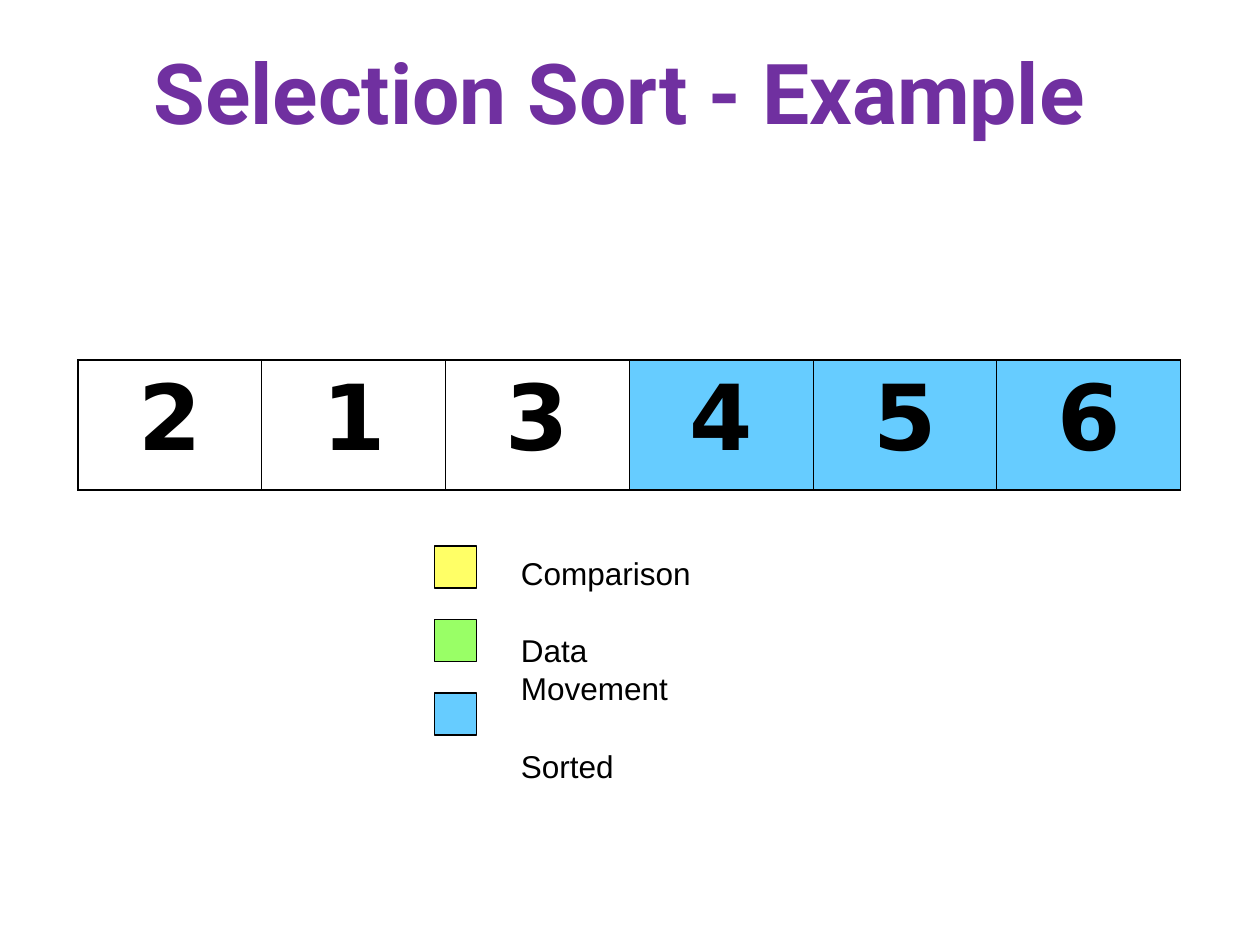
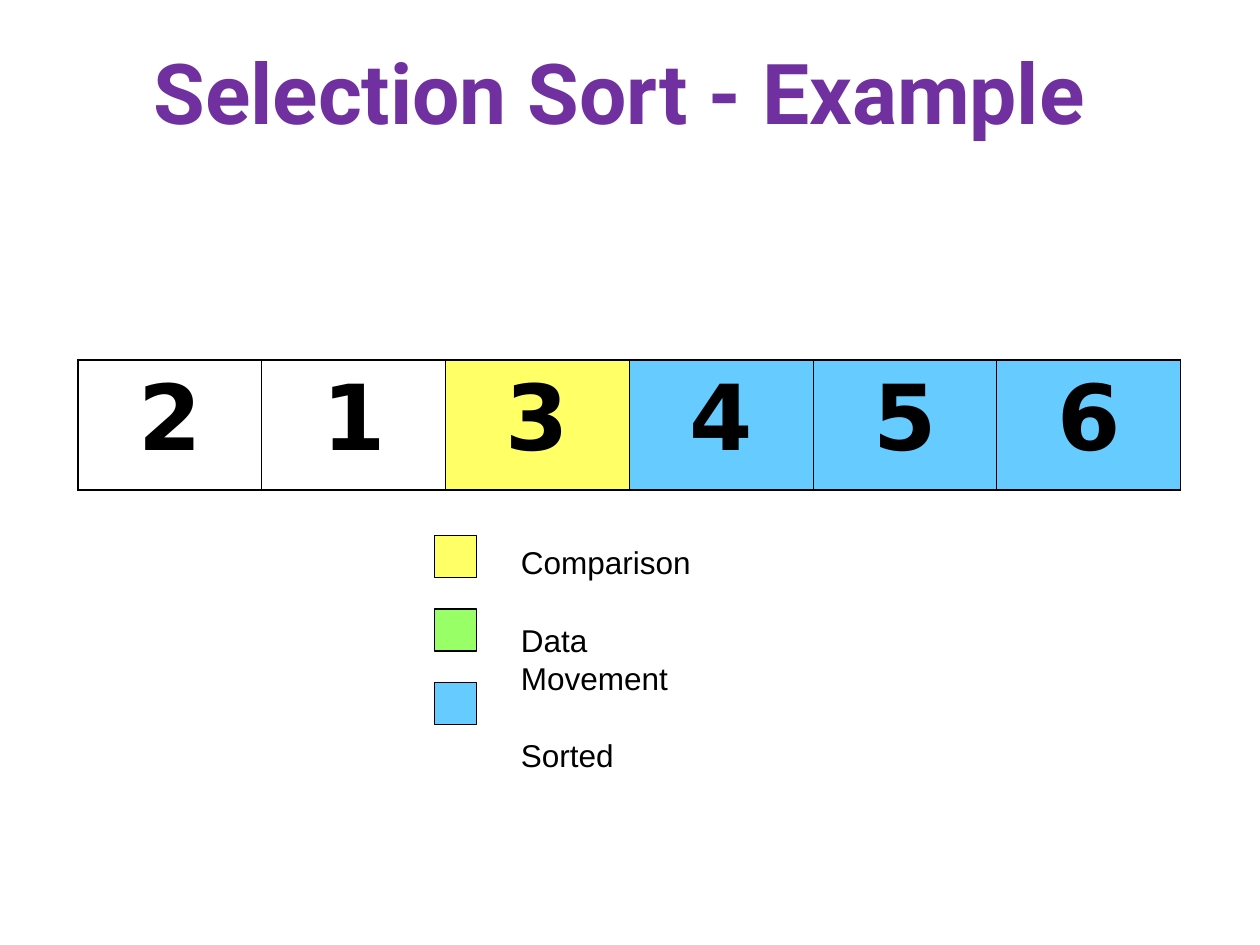
"""Build two steps of a selection sort example."""
from lxml import etree
from pptx import Presentation
from pptx.dml.color import RGBColor
from pptx.enum.shapes import MSO_SHAPE
from pptx.enum.text import MSO_ANCHOR, MSO_AUTO_SIZE, PP_ALIGN
from pptx.oxml.ns import qn
from pptx.util import Pt

RECTANGLE = MSO_SHAPE.RECTANGLE
MIDDLE = MSO_ANCHOR.MIDDLE
NO_FIT = MSO_AUTO_SIZE.NONE
FIT_SHAPE = MSO_AUTO_SIZE.SHAPE_TO_FIT_TEXT
LEFT, CENTER = PP_ALIGN.LEFT, PP_ALIGN.CENTER

BLACK = RGBColor(0x00, 0x00, 0x00)
PURPLE = RGBColor(0x70, 0x30, 0xA0)
COMPARISON = RGBColor(0xFF, 0xFF, 0x66)
MOVEMENT = RGBColor(0x99, 0xFF, 0x66)
SORTED = RGBColor(0x66, 0xCC, 0xFF)

LEGEND = [("Comparison", COMPARISON), ("Data Movement", MOVEMENT), ("Sorted", SORTED)]
NUMBERS = [2, 1, 3, 4, 5, 6]
STEPS = [
    ({4: SORTED, 5: SORTED, 6: SORTED}, 312),
    ({3: COMPARISON, 4: SORTED, 5: SORTED, 6: SORTED}, 306),
]


def write(frame, text, *, font, size, color=BLACK, bold=False, align=LEFT, gap=0):
    """Write each line of text as a formatted paragraph."""
    for index, line in enumerate(text.split("\n")):
        paragraph = frame.paragraphs[0] if index == 0 else frame.add_paragraph()
        paragraph.alignment = align
        if index:
            paragraph.space_before = Pt(gap)
        run = paragraph.add_run()
        run.text = line
        run.font.name = font
        run.font.size = Pt(size)
        run.font.bold = bold
        run.font.color.rgb = color


def set_border(cell, side, width):
    """Draw one black border of a cell."""
    line = etree.SubElement(cell._tc.get_or_add_tcPr(), qn(f"a:ln{side}"), w=str(Pt(width)))
    fill = etree.SubElement(line, qn("a:solidFill"))
    etree.SubElement(fill, qn("a:srgbClr"), val=str(BLACK))


class SortDeck:
    """Holds the shared style and the current slide."""

    title_font, number_font, legend_font = "Roboto", "DejaVu Sans", "Arial"
    outer_line, inner_line = 1.08, 0.45

    def __init__(self):
        """Start an empty presentation."""
        self.presentation = Presentation()
        self.presentation.slide_width = Pt(720)
        self.presentation.slide_height = Pt(540)
        self.slide = None

    def add_slide(self, heading):
        """Add a slide with its heading."""
        self.slide = self.presentation.slides.add_slide(self.presentation.slide_layouts[5])
        title = self.slide.shapes.title
        title.left, title.top, title.width, title.height = Pt(18), Pt(14.4), Pt(684), Pt(75.6)
        title.text_frame.auto_size = NO_FIT
        title.text_frame.vertical_anchor = MIDDLE
        write(title.text_frame, heading, font=self.title_font, size=48,
              color=PURPLE, bold=True, align=CENTER)

    def add_array(self, numbers, highlights):
        """Add the array as a one-row table with highlighted numbers."""
        count = len(numbers)
        array = self.slide.shapes.add_table(
            1, count, Pt(44.6), Pt(205.8), Pt(105 * count), Pt(74.2)).table
        array.first_row = array.horz_banding = False
        for index, number in enumerate(numbers):
            cell = array.cell(0, index)
            widths = {
                "L": self.outer_line if index == 0 else self.inner_line,
                "R": self.outer_line if index == count - 1 else self.inner_line,
                "T": self.outer_line,
                "B": self.outer_line,
            }
            for side, width in widths.items():
                set_border(cell, side, width)
            if number in highlights:
                cell.fill.solid()
                cell.fill.fore_color.rgb = highlights[number]
            else:
                cell.fill.background()
            write(cell.text_frame, str(number), font=self.number_font, size=52,
                  bold=True, align=CENTER)

    def add_swatch(self, top, color):
        """Add one colour square of the legend."""
        swatch = self.slide.shapes.add_shape(RECTANGLE, Pt(248.2), Pt(top), Pt(24), Pt(24))
        swatch.shadow.inherit = False
        swatch.fill.solid()
        swatch.fill.fore_color.rgb = color
        swatch.line.color.rgb = BLACK
        swatch.line.width = Pt(0.75)

    def add_legend(self, top, entries):
        """Add the colour squares and their labels."""
        for index, (_, color) in enumerate(entries):
            self.add_swatch(top + 42 * index, color)
        labels = self.slide.shapes.add_textbox(Pt(290.6), Pt(top + 1), Pt(141), Pt(115)).text_frame
        labels.word_wrap = False
        labels.auto_size = FIT_SHAPE
        write(labels, "\n".join(label for label, _ in entries),
              font=self.legend_font, size=18, gap=22.7)


def main():
    """Build and save both steps."""
    deck = SortDeck()
    for highlights, legend_top in STEPS:
        deck.add_slide("Selection Sort - Example ")
        deck.add_array(NUMBERS, highlights)
        deck.add_legend(legend_top, LEGEND)
    deck.presentation.save("out.pptx")


if __name__ == "__main__":
    main()
